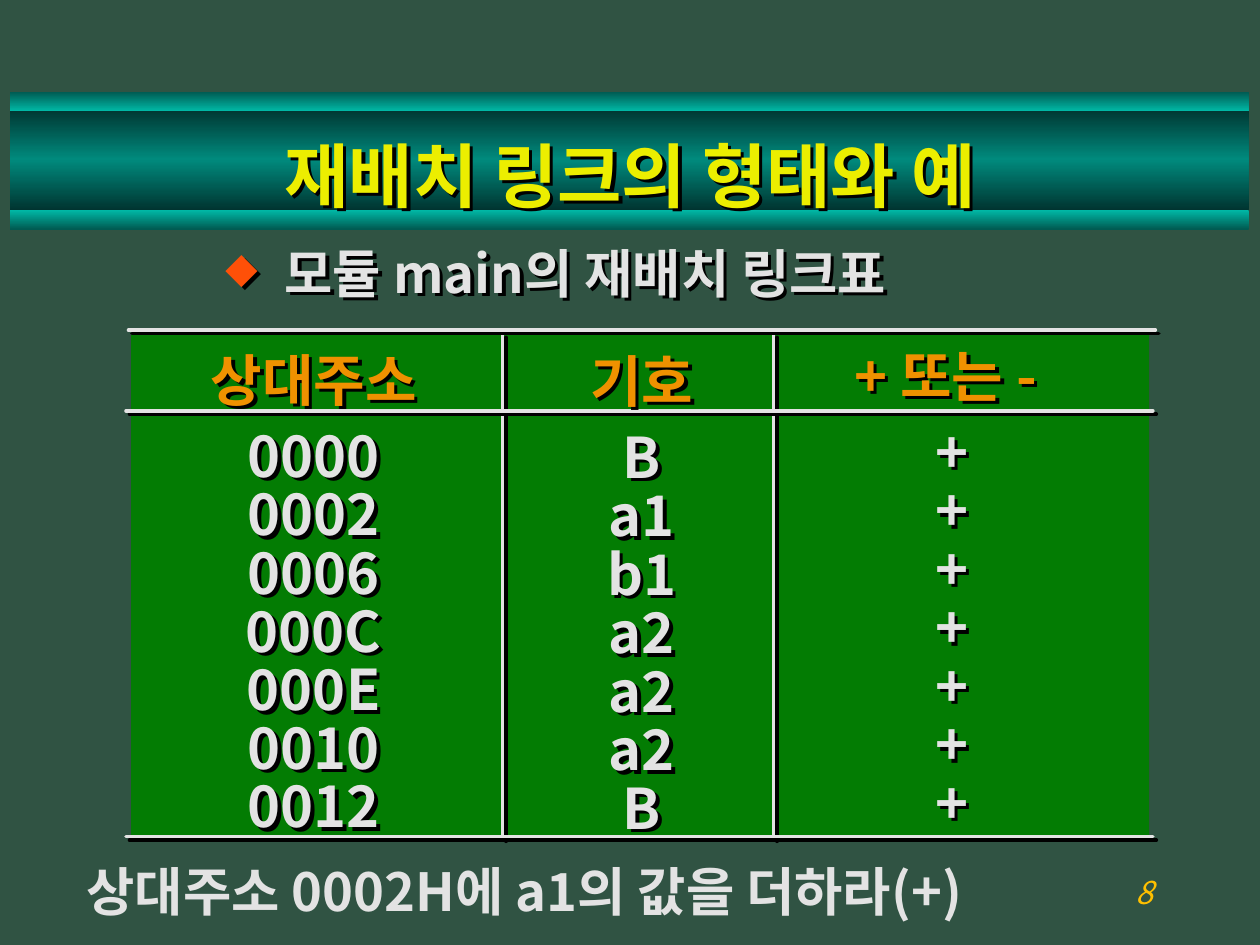
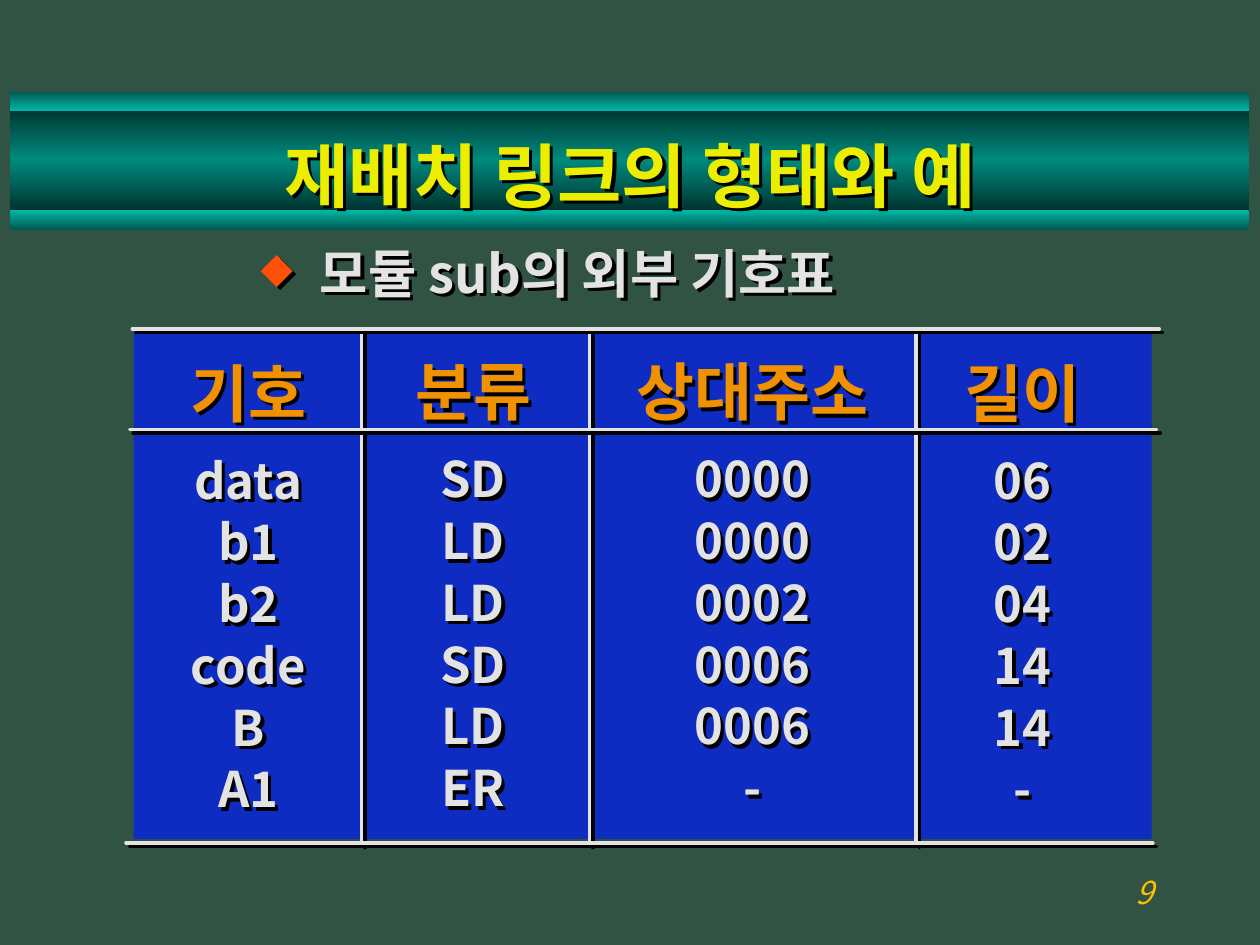
"""Build two slides showing relocation link tables as shadowed column grids."""
from copy import deepcopy

from lxml.etree import SubElement
from pptx import Presentation
from pptx.dml.color import RGBColor
from pptx.enum.shapes import MSO_CONNECTOR as Connector, MSO_SHAPE as Shape
from pptx.enum.text import MSO_ANCHOR as Anchor, PP_ALIGN as Align
from pptx.oxml.ns import qn
from pptx.util import Inches, Pt

FONT = "Noto Sans CJK KR"
BACKDROP = RGBColor(0x30, 0x53, 0x43)
BAND_DARK = RGBColor(0x00, 0x32, 0x2E)
BAND_MID = RGBColor(0x00, 0x8A, 0x7D)
EDGE_DARK = RGBColor(0x00, 0x5B, 0x52)
EDGE_LIGHT = RGBColor(0x00, 0xB7, 0xA5)
YELLOW = RGBColor(0xEC, 0xEE, 0x00)
ORANGE = RGBColor(0xEF, 0x91, 0x00)
GOLD = RGBColor(0xFF, 0xC0, 0x00)
BULLET_RED = RGBColor(0xFF, 0x50, 0x08)
PALE = RGBColor(0xE3, 0xE3, 0xE3)
GREEN = RGBColor(0x03, 0x7C, 0x03)
BLUE = RGBColor(0x0E, 0x2C, 0xC2)

TITLE = "재배치 링크의 형태와 예"
BANDS = [
    ((0.08, 0.85, 9.83, 0.83), (BAND_DARK, BAND_MID, BAND_DARK)),
    ((0.08, 1.67, 9.83, 0.15), (EDGE_LIGHT, EDGE_DARK)),
    ((0.08, 0.73, 9.83, 0.15), (EDGE_DARK, EDGE_LIGHT)),
]
RULE_LENGTH = 8.15
COLUMN_HEIGHT = 3.4

SLIDES = [
    {
        "number": "8",
        "topic": "모듈 main의 재배치 링크표",
        "topic_box": (1.69, 1.88, 6.5, 0.59),
        "panel": (1.04, 2.66, 8.08, 3.99),
        "panel_color": GREEN,
        "rules": [(1.02, 2.62), (1, 3.26), (1, 6.64)],
        "dividers": [3.99, 6.14],
        "divider_span": (2.65, 6.65),
        "sizes": (32, 32),
        "spacing": 0.87,
        "columns": [
            ((1.28, 2.73, 2.42), "상대주소",
             ["0000", "0002", "0006", "000C", "000E", "0010", "0012"]),
            ((4.34, 2.74, 1.51), "기호",
             ["B", "a1", "b1", "a2", "a2", "a2", "B"]),
            ((6.26, 2.7, 2.59), "+ 또는 - ", ["+"] * 7),
        ],
        "caption": "상대주소 0002H에 a1의 값을 더하라(+)",
    },
    {
        "number": "9",
        "topic": "모듈 sub의 외부 기호표",
        "topic_box": (1.97, 1.88, 6.12, 0.56),
        "panel": (1.06, 2.63, 8.08, 4.03),
        "panel_color": BLUE,
        "rules": [(1.05, 2.61), (1.03, 3.41), (1, 6.69)],
        "dividers": [2.87, 4.68, 7.27],
        "divider_span": (2.63, 6.7),
        "sizes": (36, 28),
        "spacing": 1.05,
        "columns": [
            ((1.23, 2.7, 1.48), "기호",
             ["data", "b1", "b2", "code", "B", "A1"]),
            ((3.09, 2.69, 1.33), "분류",
             ["SD", "LD", "LD", "SD", "LD", "ER"]),
            ((4.76, 2.69, 2.42), "상대주소",
             ["0000", "0000", "0002", "0006", "0006", "-"]),
            ((7.36, 2.7, 1.51), "길이",
             ["06", "02", "04", "14", "14", "-"]),
        ],
        "caption": None,
    },
]


def inches(box):
    return [Inches(length) for length in box]


def cast_shadow(shape):
    effects = SubElement(shape.element.spPr, qn("a:effectLst"))
    shadow = SubElement(effects, qn("a:outerShdw"), blurRad="0",
                        dist=str(Pt(2.8)), dir="2700000", algn="ctr", rotWithShape="0")
    SubElement(shadow, qn("a:srgbClr"), val="000000")


def add_panel(slide, box):
    panel = slide.shapes.add_shape(Shape.RECTANGLE, *inches(box))
    panel.shadow.inherit = False
    panel.line.fill.background()
    return panel


def add_band(slide, box, colors):
    fill = add_panel(slide, box).fill
    fill.gradient()
    fill.gradient_angle = 270
    first = fill.gradient_stops[0]
    if len(colors) == 3:
        stops = fill._xPr.find(qn("a:gradFill")).find(qn("a:gsLst"))
        stops.insert(1, deepcopy(stops[0]))
    for index, (stop, color) in enumerate(zip(fill.gradient_stops, colors)):
        stop.color.rgb = color
        stop.position = index / (len(colors) - 1)


def add_line(slide, *ends):
    line = slide.shapes.add_connector(Connector.STRAIGHT, *inches(ends))
    line.line.color.rgb = PALE
    line.line.width = Pt(2)
    line.line._ln.set("cap", "rnd")
    cast_shadow(line)


def add_frame(slide, box, shadow=True):
    holder = slide.shapes.add_textbox(*inches(box))
    frame = holder.text_frame
    frame.word_wrap = True
    if shadow:
        cast_shadow(holder)
    return frame


def write(paragraph, text, size, color, align=Align.LEFT, bold=True, spacing=None):
    paragraph.text = text
    paragraph.alignment = align
    if spacing:
        paragraph.line_spacing = Pt(round(size * 1.2 * spacing, 1))
    font = paragraph.font
    font.name = FONT
    font.size = Pt(size)
    font.bold = bold
    font.italic = not bold
    font.color.rgb = color
    SubElement(font._element, qn("a:ea"), typeface=FONT)


def add_bullet(paragraph):
    props = paragraph._p.get_or_add_pPr()
    props.set("marL", str(Inches(0.47)))
    props.set("indent", str(-Inches(0.47)))
    color = props.makeelement(qn("a:buClr"), {})
    SubElement(color, qn("a:srgbClr"), val=str(BULLET_RED))
    size = props.makeelement(qn("a:buSzPct"), {"val": "80000"})
    mark = props.makeelement(qn("a:buChar"), {"char": "◆"})
    defaults = props.find(qn("a:defRPr"))
    for part in (color, size, mark):
        defaults.addprevious(part)


def add_column(slide, box, heading, values, sizes, spacing):
    frame = add_frame(slide, (*box, COLUMN_HEIGHT))
    frame.margin_top = Inches(0.08)
    header = frame.paragraphs[0]
    write(header, heading, sizes[0], ORANGE, Align.CENTER, spacing=spacing)
    header.space_after = Pt(10)
    for value in values:
        write(frame.add_paragraph(), value, sizes[1], PALE, Align.CENTER, spacing=spacing)


def add_common(slide, number):
    for box, colors in BANDS:
        add_band(slide, box, colors)
    footer = add_frame(slide, (7.17, 6.83, 2.08, 0.5), shadow=False)
    footer.vertical_anchor = Anchor.MIDDLE
    write(footer.paragraphs[0], number, 18, GOLD, Align.RIGHT, bold=False)
    title = add_frame(slide, (0.75, 0.98, 8.5, 0.81))
    title.vertical_anchor = Anchor.MIDDLE
    write(title.paragraphs[0], TITLE, 40, YELLOW, Align.CENTER)


def build_slide(deck, content):
    slide = deck.slides.add_slide(deck.slide_layouts[6])
    add_common(slide, content["number"])

    topic = add_frame(slide, content["topic_box"])
    topic.margin_top = Inches(0.08)
    write(topic.paragraphs[0], content["topic"], 30, PALE, spacing=0.9)
    add_bullet(topic.paragraphs[0])

    panel = add_panel(slide, content["panel"])
    panel.fill.solid()
    panel.fill.fore_color.rgb = content["panel_color"]
    top, bottom = content["divider_span"]
    for x in content["dividers"]:
        add_line(slide, x, top, x, bottom)
    for left, y in content["rules"]:
        add_line(slide, left, y, left + RULE_LENGTH, y)
    for box, heading, values in content["columns"]:
        add_column(slide, box, heading, values, content["sizes"], content["spacing"])

    if content["caption"]:
        caption = add_frame(slide, (0.59, 6.74, 7.93, 0.63), shadow=False)
        caption.margin_top = Inches(0.08)
        write(caption.paragraphs[0], content["caption"], 30, PALE, spacing=1)


def main():
    deck = Presentation()
    deck.slide_width, deck.slide_height = Inches(10), Inches(7.5)
    backdrop = deck.slide_master.background.fill
    backdrop.solid()
    backdrop.fore_color.rgb = BACKDROP
    for content in SLIDES:
        build_slide(deck, content)
    deck.save("out.pptx")


if __name__ == "__main__":
    main()
